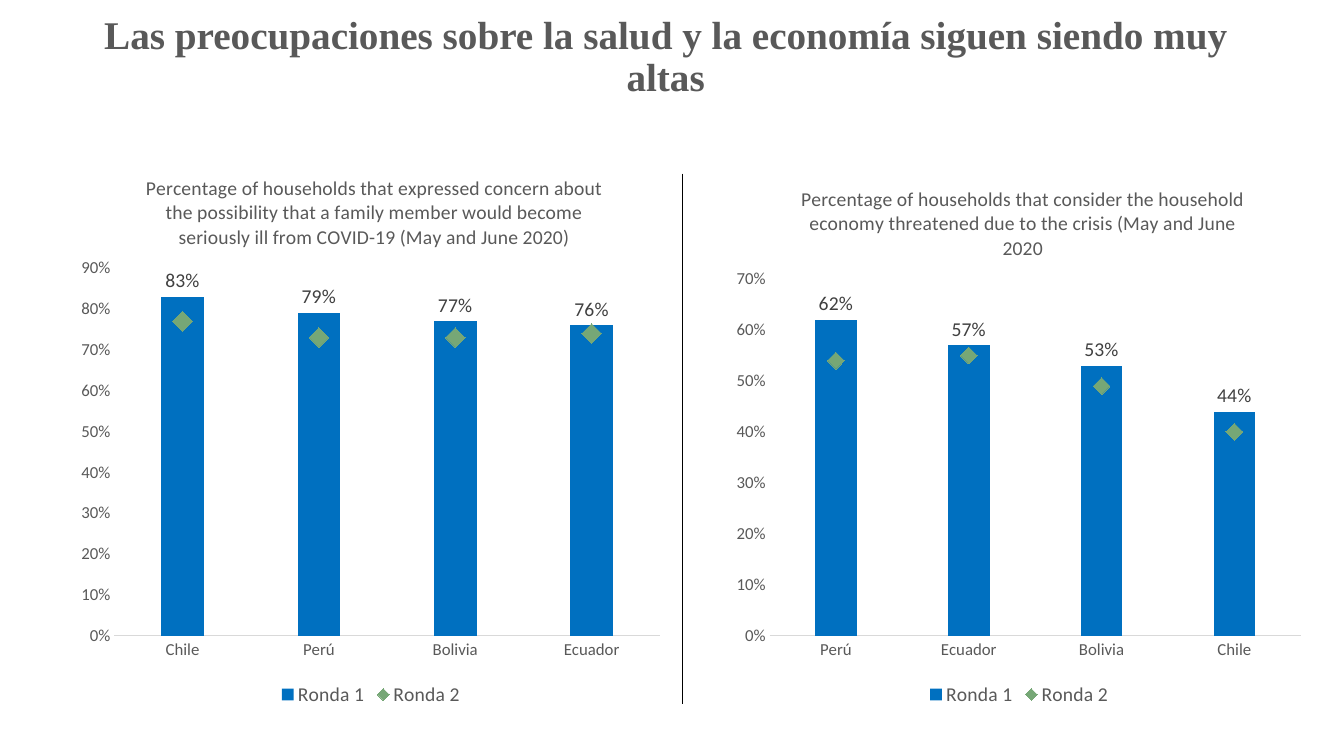
"""Build a slide comparing health and economic concerns in two combined charts."""
import pptx
import pptx.chart.data
import pptx.dml.color
import pptx.enum.chart
import pptx.enum.shapes
import pptx.enum.text
import pptx.oxml
import pptx.oxml.ns
import pptx.util

Pt = pptx.util.Pt
qn = pptx.oxml.ns.qn

TITLE = "Las preocupaciones sobre la salud y la economía siguen siendo muy altas"
TITLE_BOX = (39, 15, 873, 53)
DIVIDER = (487.5, 124, 487.5, 503)
CHARTS = [
    {
        "title": "Percentage of households that expressed concern about the possibility "
                 "that a family member would become seriously ill from COVID-19 (May and June 2020)",
        "box": (49.7, 87.1, 430.6, 420.5),
        "countries": ("Chile", "Perú", "Bolivia", "Ecuador"),
        "rounds": {"Ronda 1": (0.83, 0.79, 0.77, 0.76), "Ronda 2": (0.77, 0.73, 0.73, 0.74)},
        "top": 0.9,
        "marker": 14,
    },
    {
        "title": "Percentage of households that consider the household economy threatened "
                 "due to the crisis (May and June 2020",
        "box": (517.7, 95, 420.5, 412.6),
        "countries": ("Perú", "Ecuador", "Bolivia", "Chile"),
        "rounds": {"Ronda 1": (0.62, 0.57, 0.53, 0.44), "Ronda 2": (0.54, 0.55, 0.49, 0.4)},
        "top": 0.7,
        "marker": 12,
    },
]
TITLE_INSET = (52, 35)
PLOT_INSET = {"left": 32, "top": 104.5, "right": 9, "bottom": 53.5}
THEME = {
    "heading_font": "Times New Roman", "body_font": "Calibri",
    "heading": 28, "large": 14, "axis": 12,
    "text": "595959", "label": "404040", "bar": "0070C0",
    "marker": "76A776", "axis_line": "D9D9D9", "divider": "000000",
}


def rgb(name):
    return pptx.dml.color.RGBColor.from_string(THEME[name])


def style(font, size, color="text", face="body_font", bold=False):
    font.size, font.name, font.bold = Pt(THEME[size]), THEME[face], bold
    font.color.rgb = rgb(color)


def set_layout(parent, position, inner=False):
    for old in parent.findall(qn("c:layout")):
        parent.remove(old)
    layout = parent.makeelement(qn("c:layout"), {})
    manual = pptx.oxml.ns.qn("c:manualLayout")
    manual = layout.makeelement(manual, {})
    layout.append(manual)
    values = {"layoutTarget": "inner"} if inner else {}
    values.update(xMode="edge", yMode="edge", **position)
    for tag, value in values.items():
        manual.append(manual.makeelement(qn("c:" + tag), {"val": str(value)}))
    anchor = parent.find(qn("c:tx"))
    parent.insert(0 if anchor is None else parent.index(anchor) + 1, layout)


def move_to_line(chart):
    bars = chart.plots[0]
    ser = bars.series[1]._element
    bar_xml = ser.getparent()
    line = pptx.oxml.parse_xml(
        f'<c:lineChart {pptx.oxml.ns.nsdecls("c")}><c:grouping val="standard"/>'
        '<c:varyColors val="0"/><c:marker val="1"/></c:lineChart>')
    for invert in ser.findall(qn("c:invertIfNegative")):
        ser.remove(invert)
    line.insert(2, ser)
    for axis in bar_xml.findall(qn("c:axId")):
        line.append(line.makeelement(qn("c:axId"), {"val": axis.get("val")}))
    bar_xml.addnext(line)


def add_chart(s, item):
    data = pptx.chart.data.CategoryChartData(number_format="0%")
    data.categories = item["countries"]
    for name, values in item["rounds"].items():
        data.add_series(name, values)
    x, y, w, h = item["box"]
    chart = s.shapes.add_chart(
        pptx.enum.chart.XL_CHART_TYPE.COLUMN_CLUSTERED, Pt(x), Pt(y), Pt(w), Pt(h), data).chart
    style(chart.font, "axis")

    chart.has_title = True
    tf = chart.chart_title.text_frame
    tf.text = item["title"]
    style(tf.paragraphs[0].runs[0].font, "large")
    chart.chart_title.include_in_layout = False
    left, top = TITLE_INSET
    set_layout(chart.chart_title._element, {"x": left / w, "y": top / h})
    inset = PLOT_INSET
    set_layout(chart._chartSpace.chart.plotArea, {
        "x": inset["left"] / w, "y": inset["top"] / h,
        "w": 1 - (inset["left"] + inset["right"]) / w,
        "h": 1 - (inset["top"] + inset["bottom"]) / h}, inner=True)

    chart.has_legend = True
    chart.legend.position = pptx.enum.chart.XL_LEGEND_POSITION.BOTTOM
    chart.legend.include_in_layout = False
    style(chart.legend.font, "large")

    for axis in (chart.category_axis, chart.value_axis):
        axis.major_tick_mark = axis.minor_tick_mark = pptx.enum.chart.XL_TICK_MARK.NONE
        axis.has_major_gridlines = False
        style(axis.tick_labels.font, "axis")
    chart.category_axis.format.line.color.rgb = rgb("axis_line")
    chart.category_axis.format.line.width = Pt(0.75)
    scale = chart.value_axis
    scale.format.line.fill.background()
    scale.minimum_scale, scale.maximum_scale, scale.major_unit = 0, item["top"], 0.1
    scale.tick_labels.number_format = "0%"
    scale.tick_labels.number_format_is_linked = False

    move_to_line(chart)
    bars, points = chart.plots
    bars.gap_width, bars.overlap, bars.vary_by_categories = 219, -27, False
    first = bars.series[0]
    first.format.fill.solid()
    first.format.fill.fore_color.rgb = rgb("bar")
    labels = first.data_labels
    labels.show_value = True
    labels.number_format, labels.number_format_is_linked = "0%", False
    labels.position = pptx.enum.chart.XL_LABEL_POSITION.OUTSIDE_END
    style(labels.font, "large", "label")

    second = points.series[0]
    second.smooth = False
    second.format.line.fill.background()
    marker = second.marker
    marker.style, marker.size = pptx.enum.chart.XL_MARKER_STYLE.DIAMOND, item["marker"]
    marker.format.fill.solid()
    marker.format.fill.fore_color.rgb = rgb("marker")
    marker.format.line.fill.background()


prs = pptx.Presentation()
prs.slide_width, prs.slide_height = Pt(960), Pt(540)
s = prs.slides.add_slide(prs.slide_layouts[6])

tf = s.shapes.add_textbox(*map(Pt, TITLE_BOX)).text_frame
tf.word_wrap = True
tf.vertical_anchor = pptx.enum.text.MSO_ANCHOR.MIDDLE
p = tf.paragraphs[0]
p.text = TITLE
p.alignment = pptx.enum.text.PP_ALIGN.CENTER
p.line_spacing = 0.9
style(p.runs[0].font, "heading", face="heading_font", bold=True)

for item in CHARTS:
    add_chart(s, item)

sp = s.shapes.add_connector(pptx.enum.shapes.MSO_CONNECTOR.STRAIGHT, *map(Pt, DIVIDER))
sp.line.color.rgb = rgb("divider")
sp.line.width = Pt(0.5)
props = sp._element.spPr
props.append(props.makeelement(qn("a:effectLst"), {}))

prs.save("out.pptx")
